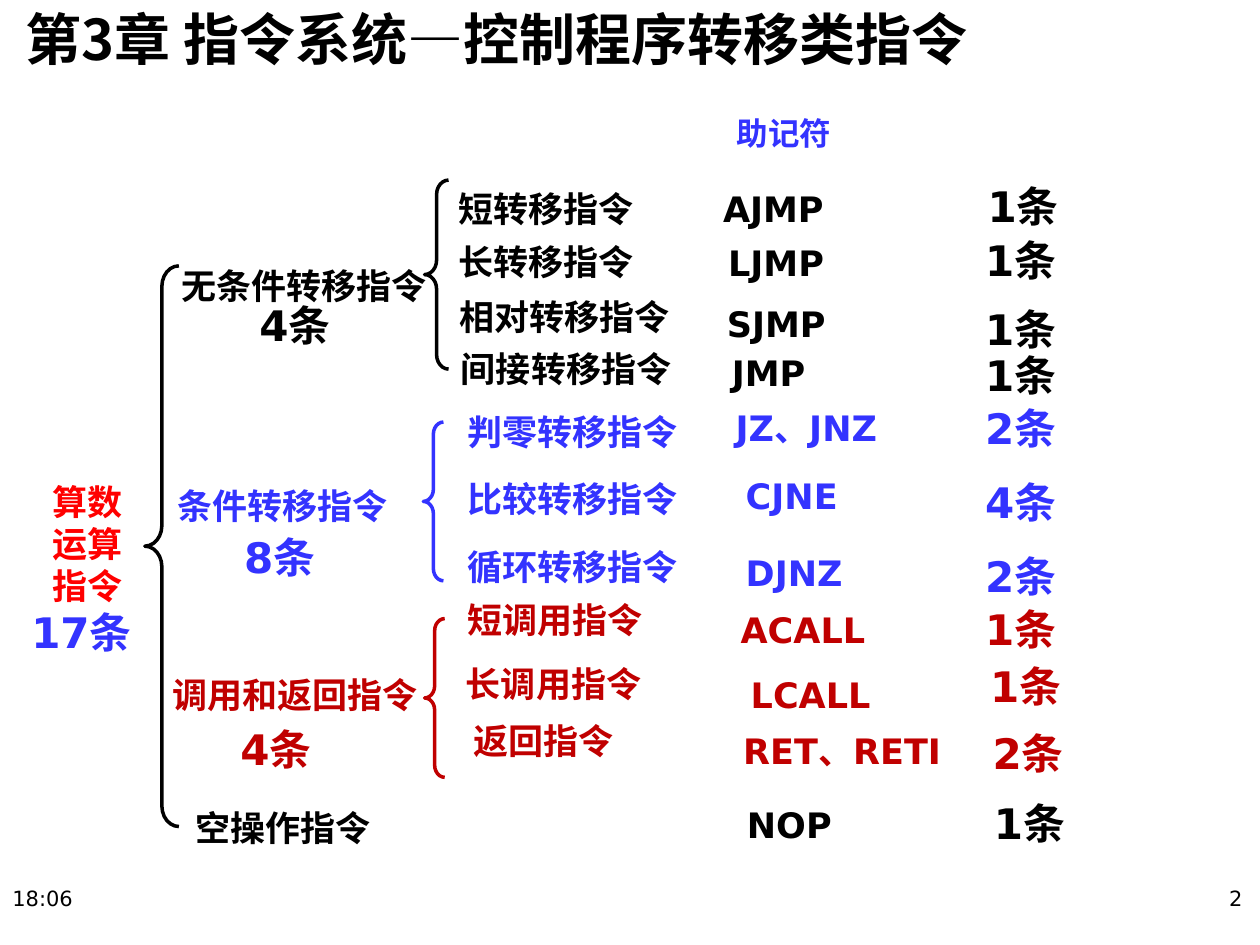
from pptx import Presentation
from pptx.dml.color import RGBColor
from pptx.enum.shapes import MSO_SHAPE as Shape
from pptx.enum.text import MSO_ANCHOR as Anchor, PP_ALIGN as Align
from pptx.oxml.ns import qn
from pptx.util import Inches, Pt
from lxml.etree import SubElement

COLORS = {"black": "000000", "blue": "3333FF", "red": "FF0000",
          "crimson": "C00000", "white": "FFFFFF"}
LATIN, CJK = "DejaVu Sans", "Noto Sans CJK SC"
NAME_SIZE, COUNT_SIZE = 20, 24
ROW_HEIGHT, COUNT_WIDTH = 0.52, 1.1

TITLE = "第3章 指令系统—控制程序转移类指令"
HEADING = "助记符"
TOTAL = ("算数运算指令", "17条")
TOTAL_BRACE = (1.15, 2.11, 0.27, 4.45)

GROUPS = [
    {"color": "black",
     "name": ("无条件转移指令", 1.34, 1.96, 2.16), "count": ("4条", 1.96, 2.31, 1.1),
     "brace": (3.37, 1.43, 0.19, 1.5),
     "rows": [
         (("短转移指令", 3.54, 1.35, 1.7), ("AJMP", 5.64, 1.35, 1.17), ("1条", 7.74, 1.36)),
         (("长转移指令", 3.54, 1.77, 1.7), ("LJMP", 5.68, 1.78, 1.04), ("1条", 7.72, 1.79)),
         (("相对转移指令", 3.55, 2.21, 1.99), ("SJMP", 5.67, 2.26, 1.05), ("1条", 7.72, 2.34)),
         (("间接转移指令", 3.56, 2.62, 1.99), ("JMP", 5.71, 2.65, 1.05), ("1条", 7.72, 2.7))]},
    {"color": "blue",
     "name": ("条件转移指令", 1.31, 3.71, 2.16), "count": ("8条", 1.84, 4.15, 0.86),
     "brace": (3.36, 3.35, 0.16, 1.26),
     "rows": [
         (("判零转移指令", 3.61, 3.12, 2.16), ("JZ、JNZ", 5.74, 3.09, 1.58), ("2条", 7.72, 3.12)),
         (("比较转移指令", 3.61, 3.65, 2.16), ("CJNE", 5.82, 3.63, 1.22), ("4条", 7.72, 3.71)),
         (("循环转移指令", 3.61, 4.19, 2.16), ("DJNZ", 5.82, 4.24, 1.54), ("2条", 7.72, 4.3))]},
    {"color": "crimson",
     "name": ("调用和返回指令", 1.27, 5.21, 2.16), "count": ("4条", 1.81, 5.67, 0.86),
     "brace": (3.37, 4.91, 0.16, 1.26),
     "rows": [
         (("短调用指令", 3.61, 4.61, 2.16), ("ACALL", 5.78, 4.69, 1.54), ("1条", 7.72, 4.72)),
         (("长调用指令", 3.6, 5.12, 2.16), ("LCALL", 5.86, 5.21, 1.54), ("1条", 7.76, 5.17)),
         (("返回指令", 3.66, 5.57, 2.16), ("RET、RETI", 5.8, 5.65, 2.16), ("2条", 7.78, 5.7))]},
    {"color": "black", "name": None, "count": None, "brace": None,
     "rows": [
         (("空操作指令", 1.45, 6.26, 1.63), ("NOP", 5.83, 6.24, 1.76), ("1条", 7.79, 6.26))]},
]


def rgb(color):
    return RGBColor.from_string(COLORS[color])


def write(slide, text, left, top, width, height=ROW_HEIGHT, *, holder=None,
          size=NAME_SIZE, color="black", bold=True, font=LATIN, align=Align.LEFT,
          anchor=Anchor.BOTTOM, insets=(0.1, 0.05, 0.1, 0.05), leading=None):
    box = tuple(map(Inches, (left, top, width, height)))
    holder = holder or slide.shapes.add_textbox(*box)
    holder.left, holder.top, holder.width, holder.height = box
    frame = holder.text_frame
    frame.word_wrap = True
    frame.vertical_anchor = anchor
    (frame.margin_left, frame.margin_top,
     frame.margin_right, frame.margin_bottom) = map(Inches, insets)
    paragraph = frame.paragraphs[0]
    paragraph.alignment = align
    if leading:
        paragraph.line_spacing = Pt(leading)
    run = paragraph.add_run()
    run.text = text
    run.font.size = Pt(size)
    run.font.bold = bold
    run.font.name = font
    run.font.color.rgb = rgb(color)
    SubElement(run.font._element, qn("a:ea")).set("typeface", font)


def add_brace(slide, box, color, filled=True):
    brace = slide.shapes.add_shape(Shape.LEFT_BRACE, *map(Inches, box))
    brace.adjustments[0], brace.adjustments[1] = 0.604, 0.5
    brace.shadow.inherit = False
    if filled:
        brace.fill.solid()
        brace.fill.fore_color.rgb = rgb("white")
    else:
        brace.fill.background()
    brace.line.color.rgb = rgb(color)
    brace.line.width = Pt(2)


def add_group(slide, group):
    color = group["color"]
    if group["name"]:
        write(slide, *group["name"], color=color)
        write(slide, *group["count"], size=COUNT_SIZE, color=color)
        add_brace(slide, group["brace"], color)
    for label, mnemonic, count in group["rows"]:
        write(slide, *label, color=color)
        write(slide, *mnemonic, color=color)
        write(slide, *count, COUNT_WIDTH, size=COUNT_SIZE, color=color)


def main():
    deck = Presentation()
    deck.slide_width, deck.slide_height = Inches(10), Inches(7.5)
    slide = deck.slides.add_slide(deck.slide_layouts[5])

    write(slide, TITLE, 0, 0, 7.83, 0.78, holder=slide.shapes.title, size=32,
          font=CJK, anchor=Anchor.TOP, insets=(0.2, 0.03, 0, 0), leading=39)
    write(slide, HEADING, 5.75, 0.85, 1.13, 0.4, size=18, color="blue",
          font=CJK, anchor=Anchor.TOP, leading=22)

    add_brace(slide, TOTAL_BRACE, "black", filled=False)
    name, count = TOTAL
    write(slide, name, 0.32, 3.78, 0.91, 1.08, color="red")
    write(slide, count, 0.15, 4.74, COUNT_WIDTH, size=COUNT_SIZE, color="blue")

    for group in GROUPS:
        add_group(slide, group)

    footer = {"size": 12, "bold": False, "anchor": Anchor.TOP}
    write(slide, "18:06", 0, 6.98, 2.17, **footer)
    write(slide, "2", 7.79, 6.98, 2.17, align=Align.RIGHT, **footer)
    deck.save("out.pptx")


if __name__ == "__main__":
    main()
